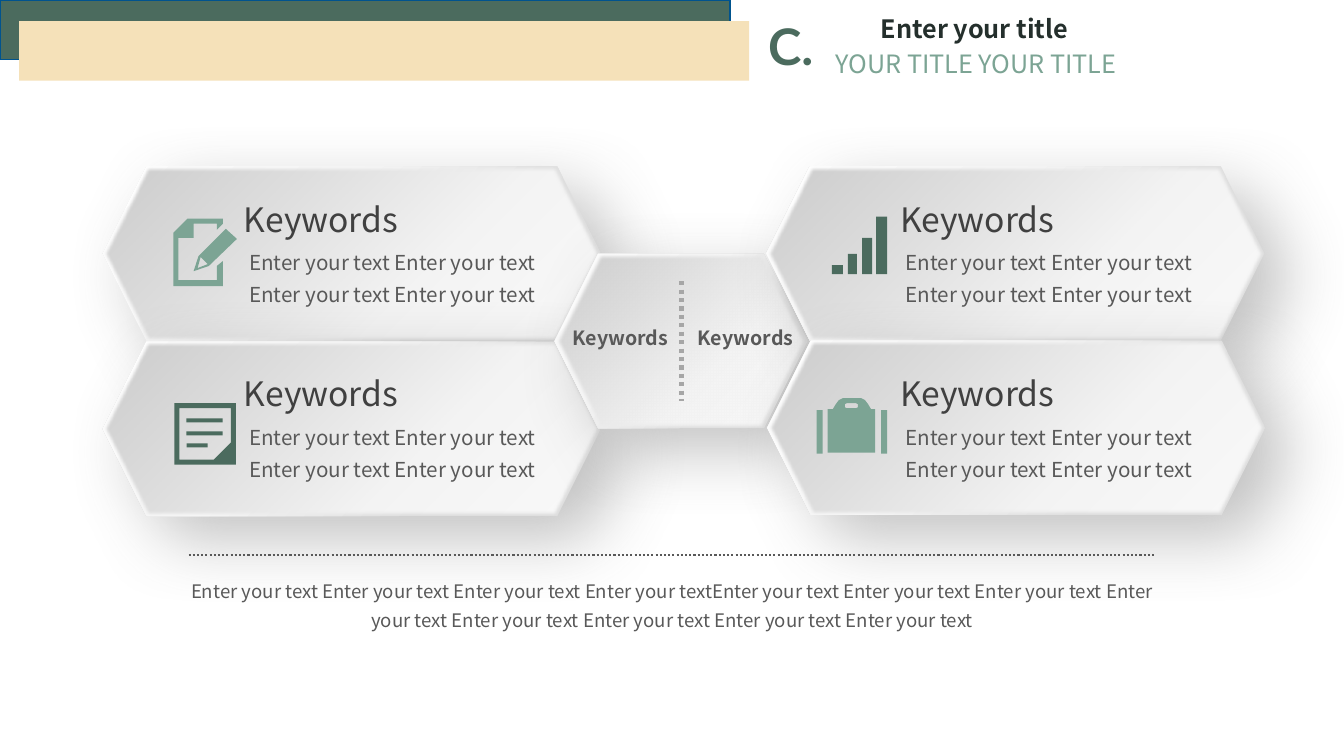
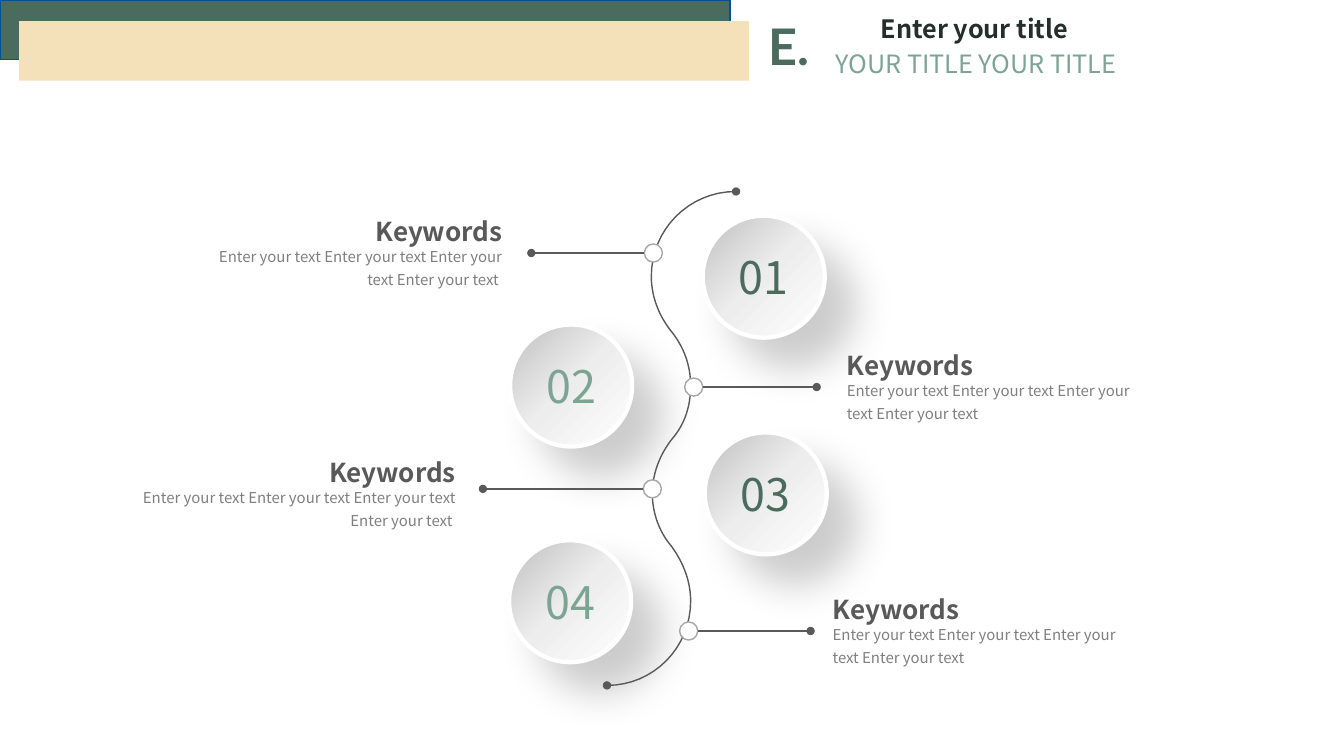
import pptx
import pptx.dml.color
import pptx.enum.dml
import pptx.enum.shapes
import pptx.enum.text
import pptx.oxml.ns
import pptx.util
from lxml import etree

Inches = pptx.util.Inches
Pt = pptx.util.Pt
RGB = pptx.dml.color.RGBColor.from_string
SHAPE = pptx.enum.shapes.MSO_SHAPE
ALIGN = pptx.enum.text.PP_ALIGN
qn = pptx.oxml.ns.qn

COLORS = {
    "green": "4B6B5E", "sage": "7CA494", "cream": "F5E1B9", "navy": "00538E",
    "ink": "242F2C", "dark": "404040", "text": "595959", "muted": "808080",
    "rule": "A6A6A6", "white": "FFFFFF", "shade": "696969", "black": "000000",
}
RIM = [(1, "DEDEDE"), (30, "E0E0E0"), (61, "F6F6F6"), (100, "FFFFFF")]
FACE = [(0, "CBCBCB"), (32, "DEDEDE"), (64, "F3F3F3"), (100, "F9F9F9")]
DISC = [(0, "C0C0C0"), (49, "EDEDED"), (100, "FFFFFF")]
SANS = "Noto Sans CJK SC"
PHRASE = "Enter your text"
BODY = " ".join([PHRASE] * 4)


def write(sp, text, size, color, font=SANS, bold=False, align=ALIGN.LEFT, spacing=None,
          wrap=True, grow=True, inset=(0.1, 0.05, 0.1, 0.05)):
    tf = sp.text_frame
    tf.word_wrap = wrap
    if grow:
        tf.auto_size = pptx.enum.text.MSO_AUTO_SIZE.SHAPE_TO_FIT_TEXT
    tf.margin_left, tf.margin_top, tf.margin_right, tf.margin_bottom = map(Inches, inset)
    p = tf.paragraphs[0]
    p.alignment = align
    if spacing:
        p.line_spacing = spacing
    r = p.add_run()
    r.text = text
    r.font.name = font
    r.font.size = Pt(size)
    r.font.bold = bold
    r.font.color.rgb = RGB(COLORS[color])


def paint(sp, fill=None, line=None, weight=1, angle=45, shadow=None, soft=None):
    sp.shadow.inherit = False
    if fill is None:
        sp.fill.background()
    elif isinstance(fill, str):
        sp.fill.solid()
        sp.fill.fore_color.rgb = RGB(COLORS[fill])
    else:
        sp.fill.gradient()
        sp.fill.gradient_angle = 360 - angle
        stops = sp.element.spPr.find(".//" + qn("a:gsLst"))
        for stop in list(stops):
            stops.remove(stop)
        for pos, color in fill:
            stop = etree.SubElement(stops, qn("a:gs"), pos=str(pos * 1000))
            etree.SubElement(stop, qn("a:srgbClr"), val=color)
    if line:
        sp.line.color.rgb = RGB(COLORS[line])
        sp.line.width = Pt(weight)
    else:
        sp.line.fill.background()
    effects = sp.element.spPr.find(qn("a:effectLst"))
    if shadow:
        color, alpha, blur, dist, direction = shadow
        outer = etree.SubElement(effects, qn("a:outerShdw"), blurRad=str(Pt(blur)), dist=str(Pt(dist)),
                                 dir=str(direction * 60000), algn="tl", rotWithShape="0")
        shade = etree.SubElement(outer, qn("a:srgbClr"), val=COLORS[color])
        etree.SubElement(shade, qn("a:alpha"), val=str(alpha * 1000))
    if soft:
        etree.SubElement(effects, qn("a:softEdge"), rad=str(Pt(soft)))


prs = pptx.Presentation()
prs.slide_width, prs.slide_height = Inches(13.33), Inches(7.5)

slides = []
for letter, width in (("C.", 0.79), ("E.", 0.74)):
    s = prs.slides.add_slide(prs.slide_layouts[6])
    slides.append(s)
    for x, y, fill, line in ((0, 0, "green", "navy"), (0.19, 0.21, "cream", None)):
        band = s.shapes.add_shape(SHAPE.RECTANGLE, *map(Inches, (x, y, 7.24, 0.59)))
        paint(band, fill, line)
    for box, text, style in (
        ((8.1, 0.08, 3.13, 0.4), "Enter your title",
         dict(size=18, color="ink", bold=True, align=ALIGN.CENTER)),
        ((7.52, 0.1, width, 0.71), letter,
         dict(size=36, color="green", font="Lato", bold=True, wrap=False)),
        ((8.19, 0.43, 3.13, 0.4), "YOUR TITLE YOUR TITLE", dict(size=18, color="sage")),
    ):
        write(s.shapes.add_textbox(*map(Inches, box)), text, **style)

cards, timeline = slides

s = cards
for x, y, width in ((1.02, 1.65, 4.94), (1.02, 3.39, 4.94), (5.5, 2.52, 2.51),
                    (7.6, 1.65, 4.94), (7.61, 3.38, 4.94)):
    for fill, angle, shadow, soft in ((RIM, 225, ("shade", 40, 49, 25, 40), None),
                                      (FACE, 45, None, 2.5)):
        hexagon = s.shapes.add_shape(SHAPE.HEXAGON, *map(Inches, (x, y, width, 1.73)))
        paint(hexagon, fill, angle=angle, shadow=shadow, soft=soft)

for box, fill in (
    ((8.25, 2.63, 0.11, 0.09), "green"),
    ((8.41, 2.52, 0.09, 0.2), "green"),
    ((8.55, 2.36, 0.1, 0.36), "green"),
    ((8.69, 2.15, 0.11, 0.57), "green"),
    ((8.1, 4.07, 0.06, 0.43), "sage"),
    ((8.74, 4.07, 0.06, 0.43), "sage"),
    ((1.85, 4.15, 0.36, 0.04), "green"),
    ((1.85, 4.28, 0.36, 0.04), "green"),
    ((1.85, 4.4, 0.21, 0.04), "green"),
):
    paint(s.shapes.add_shape(SHAPE.RECTANGLE, *map(Inches, box)), fill)

suitcase = [
    [(8.64, 4.06), (8.61, 4.01), (8.58, 3.97), (8.54, 3.95), (8.36, 3.95), (8.32, 3.97),
     (8.29, 4.01), (8.26, 4.06), (8.21, 4.06), (8.21, 4.49), (8.68, 4.49), (8.68, 4.06)],
    [(8.49, 4.05), (8.4, 4.05), (8.38, 4.04), (8.38, 4.01), (8.4, 4), (8.49, 4),
     (8.51, 4.01), (8.51, 4.04)],
]
note = [
    [(1.73, 4), (1.73, 4.61), (2.34, 4.61), (2.34, 4)],
    [(1.78, 4.05), (2.29, 4.05), (2.29, 4.39), (2.12, 4.56), (1.78, 4.56)],
]
page = [
    [(2.15, 2.78), (1.77, 2.78), (1.77, 2.36), (1.92, 2.36), (1.92, 2.22), (2.15, 2.22),
     (2.15, 2.28), (2.21, 2.22), (2.21, 2.17), (1.86, 2.17), (1.72, 2.31), (1.72, 2.84),
     (2.21, 2.84), (2.21, 2.59), (2.15, 2.64)],
]
pencil = [
    [(1.97, 2.54), (1.92, 2.69), (2.07, 2.64), (2.35, 2.37), (2.24, 2.27)],
    [(2.06, 2.62), (1.96, 2.66), (1.99, 2.55)],
]
for contours, fill in ((suitcase, "sage"), (note, "green"), (page, "sage"), (pencil, "sage")):
    builder = None
    for contour in contours:
        points = [(Inches(x), Inches(y)) for x, y in contour]
        if builder is None:
            builder = s.shapes.build_freeform(*points[0])
        else:
            builder.move_to(*points[0])
        builder.add_line_segments(points[1:], close=True)
    paint(builder.convert_to_shape(), fill)

for x in (2.32, 8.83):
    for y in (1.92, 3.65):
        write(s.shapes.add_textbox(*map(Inches, (x, y, 1.76, 0.5))), "Keywords", 24, "dark", wrap=False)
        write(s.shapes.add_textbox(*map(Inches, (x + 0.15, y + 0.49, 3.25, 0.66))), BODY, 14.7, "text",
              spacing=1.3, inset=(0, 0, 0.1, 0.05))
for x in (5.51, 6.75):
    write(s.shapes.add_textbox(*map(Inches, (x, 3.18, 1.29, 0.34))), "Keywords", 14, "text",
          bold=True, align=ALIGN.CENTER)
write(s.shapes.add_textbox(*map(Inches, (1.74, 5.64, 9.86, 0.66))), BODY + " ".join([PHRASE] * 8),
      13.3, "text", align=ALIGN.CENTER, spacing=1.3)

s = timeline
steps = [
    ("04", 5.05, 5.36, "sage", 6.74, 6.17, 8.04, 8.16, 6.1, 3.22),
    ("03", 6.99, 4.29, "green", 6.38, 4.76, 4.79, 1.19, 4.74, 3.43),
    ("02", 5.06, 3.22, "sage", 6.79, 3.75, 8.1, 8.3, 3.68, 3.21),
    ("01", 6.97, 2.14, "green", 6.39, 2.42, 5.27, 1.8, 2.35, 3.28),
]
for number, x, y, color, *_ in steps:
    disc = s.shapes.add_shape(SHAPE.OVAL, *map(Inches, (x, y, 1.21, 1.21)))
    paint(disc, DISC, "white", 3, shadow=("black", 20, 29, 29, 45))
    disc.text_frame.vertical_anchor = pptx.enum.text.MSO_ANCHOR.MIDDLE
    write(disc, number, 32, color, align=ALIGN.CENTER, grow=False, inset=(0, 0.05, 0, 0.05))

start = (6.02, 6.8)
curves = [
    ((6.48, 6.8), (6.85, 6.43), (6.85, 5.96)),
    ((6.85, 5.76), (6.77, 5.57), (6.66, 5.42)),
    ((6.54, 5.28), (6.47, 5.09), (6.47, 4.9)),
    ((6.47, 4.69), (6.55, 4.5), (6.67, 4.35)),
    ((6.79, 4.21), (6.85, 4.03), (6.85, 3.83)),
    ((6.85, 3.62), (6.78, 3.44), (6.66, 3.29)),
    ((6.54, 3.14), (6.46, 2.95), (6.46, 2.74)),
    ((6.46, 2.28), (6.83, 1.9), (7.3, 1.9)),
]
builder = s.shapes.build_freeform(*map(Inches, start))
points = []
for c1, c2, end in curves:
    for i in range(1, 17):
        t = i / 16
        points.append([
            Inches((1 - t) ** 3 * a + 3 * (1 - t) ** 2 * t * b + 3 * (1 - t) * t ** 2 * c + t ** 3 * d)
            for a, b, c, d in zip(start, c1, c2, end)])
    start = end
builder.add_line_segments(points, close=False)
spine = builder.convert_to_shape()
paint(spine, line="text")
for tag in ("a:headEnd", "a:tailEnd"):
    etree.SubElement(spine.element.spPr.find(qn("a:ln")), qn(tag), type="oval")

lines = [
    (cards, (6.76, 2.79, 6.76, 3.98), "rule", 3, True),
    (cards, (1.87, 5.51, 11.46, 5.51), "text", 1.5, True),
]
for _, _, _, _, ring_x, ring_y, rail_end, x, y, width in steps:
    ring = s.shapes.add_shape(SHAPE.OVAL, *map(Inches, (ring_x, ring_y, 0.18, 0.18)))
    paint(ring, "white", "rule")
    on_left = rail_end < ring_x
    rail_start = ring_x if on_left else ring_x + 0.18
    lines.append((timeline, (rail_start, ring_y + 0.09, rail_end, ring_y + 0.09), "text", 1, False))
    align = ALIGN.RIGHT if on_left else ALIGN.LEFT
    write(s.shapes.add_textbox(*map(Inches, (x, y, width, 0.54))), BODY + " " * on_left, 10.7, "muted",
          align=align, spacing=1.3)
    write(s.shapes.add_textbox(*map(Inches, (x, y - 0.37, width, 0.42))), "Keywords", 18.6, "text",
          bold=True, align=align, spacing=1.5, inset=(0.1, 0, 0.1, 0))

for s, ends, color, weight, dotted in lines:
    cx = s.shapes.add_connector(pptx.enum.shapes.MSO_CONNECTOR.STRAIGHT, *map(Inches, ends))
    cx.line.color.rgb = RGB(COLORS[color])
    cx.line.width = Pt(weight)
    if dotted:
        cx.line.dash_style = pptx.enum.dml.MSO_LINE.ROUND_DOT
    else:
        etree.SubElement(cx.element.spPr.find(qn("a:ln")), qn("a:tailEnd"), type="oval")
    etree.SubElement(cx.element.spPr, qn("a:effectLst"))

prs.save("out.pptx")
